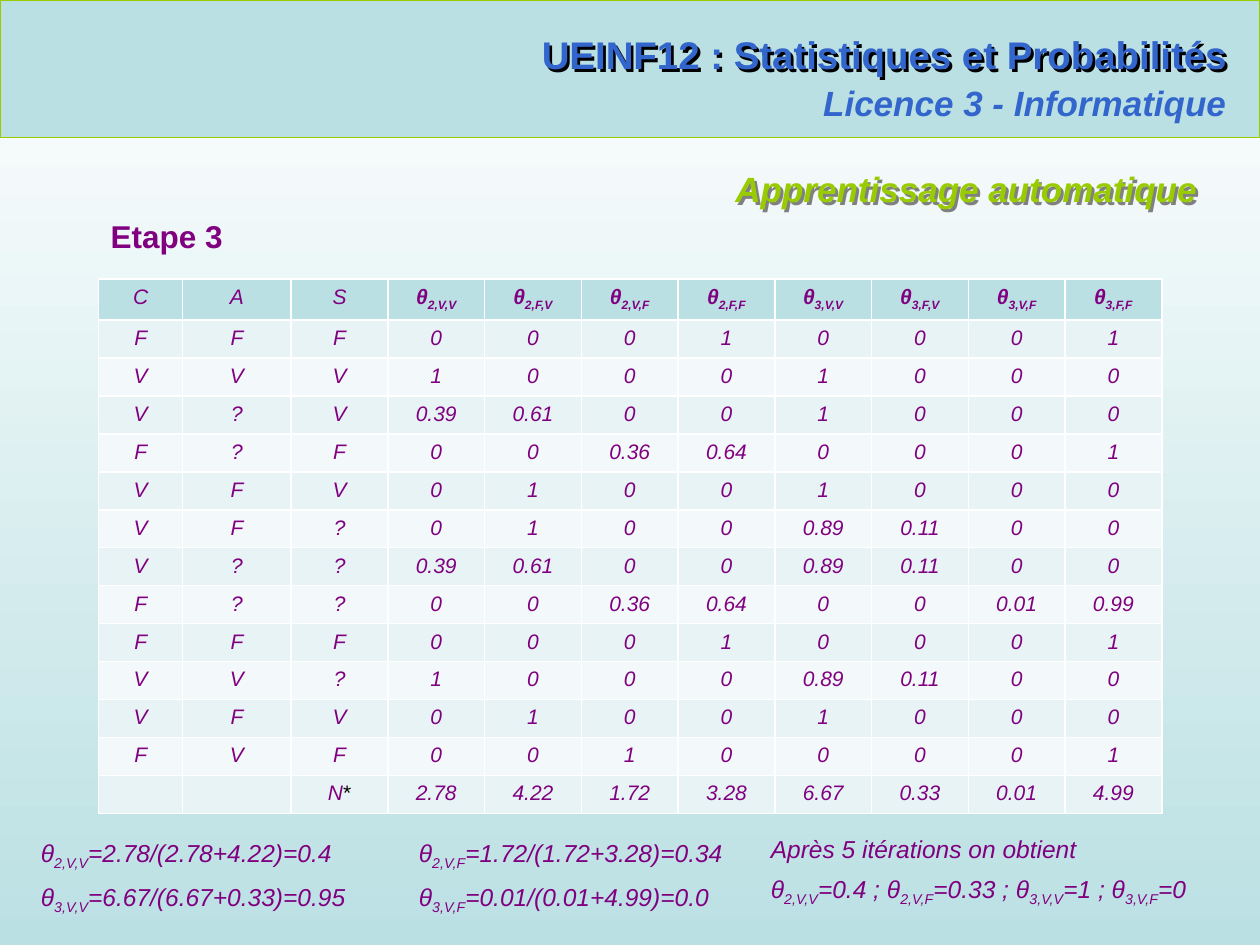
import lxml.etree
import pptx
import pptx.dml.color
import pptx.enum.shapes
import pptx.enum.text
import pptx.oxml
import pptx.oxml.ns
import pptx.util

Pt = pptx.util.Pt
qn = pptx.oxml.ns.qn
align = pptx.enum.text.PP_ALIGN
PURPLE, BLUE, GREEN, AQUA = "800080", "3366CC", "99CC00", "BBE0E3"


def color(value):
    return pptx.dml.color.RGBColor.from_string(value)


def write(para, text, size, ink, alignment, bold=False, italic=False):
    para.alignment = alignment
    para.font.name = "Arial"
    para.font.size = Pt(size)
    para.font.bold = bold
    para.font.italic = italic
    para.font.color.rgb = color(ink)
    for index, part in enumerate(text.replace("]", "[").split("[")):
        if part:
            span = para.add_run()
            span.text = part
            if index % 2:
                span.font._element.set("baseline", "-25000")


deck = pptx.Presentation()
deck.slide_width, deck.slide_height = Pt(720), Pt(540)
page = deck.slides.add_slide(deck.slide_layouts[5])
backdrop = page.background.fill
backdrop.gradient()
backdrop.gradient_angle = 270
for stop, shade in zip(backdrop.gradient_stops, ["FFFFFF", AQUA]):
    stop.color.rgb = color(shade)

band = page.shapes.add_shape(
    pptx.enum.shapes.MSO_SHAPE.RECTANGLE, 0, 0, Pt(720), Pt(78.5))
band.shadow.inherit = False
band.fill.solid()
band.fill.fore_color.rgb = color(AQUA)
band.line.color.rgb = color(GREEN)
band.line.width = Pt(0.75)
band.element.addnext(page.shapes.title.element)

rule = page.shapes.add_connector(
    pptx.enum.shapes.MSO_CONNECTOR.STRAIGHT, Pt(24.5), Pt(78.5), Pt(702.7), Pt(78.5))
rule.line.color.rgb = color(GREEN)
rule.line.width = Pt(0.75)
lxml.etree.SubElement(rule.element.spPr, qn("a:effectLst"))

headings = [
    ("UEINF12 : Statistiques et Probabilités", 291, 14.4, 417.5, 34,
     22, BLUE, align.RIGHT, False, False, "000000"),
    ("Licence 3 - Informatique", 461.5, 43.2, 246.5, 31.5,
     20, BLUE, align.RIGHT, True, False, None),
    ("Apprentissage automatique", 156.2, 92.2, 535, 31.5,
     20, GREEN, align.RIGHT, True, True, "808080"),
    ("Etape 3", 56.2, 120.2, 79.2, 29,
     18, PURPLE, align.LEFT, False, False, None),
]
for number, (text, left, top, width, height, size, ink, side,
             italic, wrap, shadow) in enumerate(headings):
    if number == 0:
        box = page.shapes.title
        box.left, box.top, box.width, box.height = Pt(left), Pt(top), Pt(width), Pt(height)
    else:
        box = page.shapes.add_textbox(Pt(left), Pt(top), Pt(width), Pt(height))
    frame = box.text_frame
    frame.word_wrap = wrap
    frame.auto_size = pptx.enum.text.MSO_AUTO_SIZE.SHAPE_TO_FIT_TEXT
    frame.vertical_anchor = pptx.enum.text.MSO_ANCHOR.TOP
    write(frame.paragraphs[0], text, size, ink, side, True, italic)
    if shadow:
        effects = lxml.etree.SubElement(box.element.spPr, qn("a:effectLst"))
        cast = lxml.etree.SubElement(effects, qn("a:outerShdw"), dist="28400", dir="2700000")
        lxml.etree.SubElement(cast, qn("a:srgbClr"), val=shadow)

rows = [
    ["C", "A", "S"] + [f"θ[{node},{pair}]" for node in (2, 3)
                       for pair in ("V,V", "F,V", "V,F", "F,F")],
    "F F F 0 0 0 1 0 0 0 1".split(),
    "V V V 1 0 0 0 1 0 0 0".split(),
    "V ? V 0.39 0.61 0 0 1 0 0 0".split(),
    "F ? F 0 0 0.36 0.64 0 0 0 1".split(),
    "V F V 0 1 0 0 1 0 0 0".split(),
    "V F ? 0 1 0 0 0.89 0.11 0 0".split(),
    "V ? ? 0.39 0.61 0 0 0.89 0.11 0 0".split(),
    "F ? ? 0 0 0.36 0.64 0 0 0.01 0.99".split(),
    "F F F 0 0 0 1 0 0 0 1".split(),
    "V V ? 1 0 0 0 0.89 0.11 0 0".split(),
    "V F V 0 1 0 0 1 0 0 0".split(),
    "F V F 0 0 1 0 0 0 0 1".split(),
    ["", ""] + "N 2.78 4.22 1.72 3.28 6.67 0.33 0.01 4.99".split(),
]
table = page.shapes.add_table(
    len(rows), len(rows[0]), Pt(56.4), Pt(159.3), Pt(607.7), Pt(305.5)).table
for column, width in zip(table.columns, [48, 62] + [55.3] * 9):
    column.width = Pt(width)
for r, row in enumerate(rows):
    table.rows[r].height = Pt(21.7 if r else 23.4)
    for c, text in enumerate(row):
        cell = table.cell(r, c)
        cell.fill.solid()
        cell.fill.fore_color.rgb = color(
            AQUA if r == 0 else "E7F3F4" if r % 2 else "F3F9FA")
        para = cell.text_frame.paragraphs[0]
        write(para, text, 12, PURPLE, align.CENTER, "θ" in text, True)
        if not text:
            lxml.etree.SubElement(para._p, qn("a:endParaRPr"), sz="1200")
star = table.cell(len(rows) - 1, 2).text_frame.paragraphs[0].add_run()
star.text = "*"
star.font.italic = False
star.font.color.rgb = color("000000")

results = [
    (16.3, 475.2, 415, [
        "θ[2,V,V]=2.78/(2.78+4.22)=0.4\tθ[2,V,F]=1.72/(1.72+3.28)=0.34",
        "θ[3,V,V]=6.67/(6.67+0.33)=0.95\tθ[3,V,F]=0.01/(0.01+4.99)=0.0"]),
    (433.4, 473, 280, [
        "Après 5 itérations on obtient",
        "θ[2,V,V]=0.4 ; θ[2,V,F]=0.33 ; θ[3,V,V]=1 ; θ[3,V,F]=0"]),
]
for left, top, width, lines in results:
    box = page.shapes.add_textbox(Pt(left), Pt(top), Pt(width), Pt(47.5))
    frame = box.text_frame
    frame.word_wrap = True
    frame.auto_size = pptx.enum.text.MSO_AUTO_SIZE.SHAPE_TO_FIT_TEXT
    for index, line in enumerate(lines):
        para = frame.add_paragraph() if index else frame.paragraphs[0]
        para.space_after = Pt(6)
        if "\t" in line:
            tabs = lxml.etree.SubElement(para._p.get_or_add_pPr(), qn("a:tabLst"))
            lxml.etree.SubElement(tabs, qn("a:tab"), pos=str(Pt(216)), algn="l")
        write(para, line, 14, PURPLE, align.JUSTIFY, italic=True)

deck.save("out.pptx")
